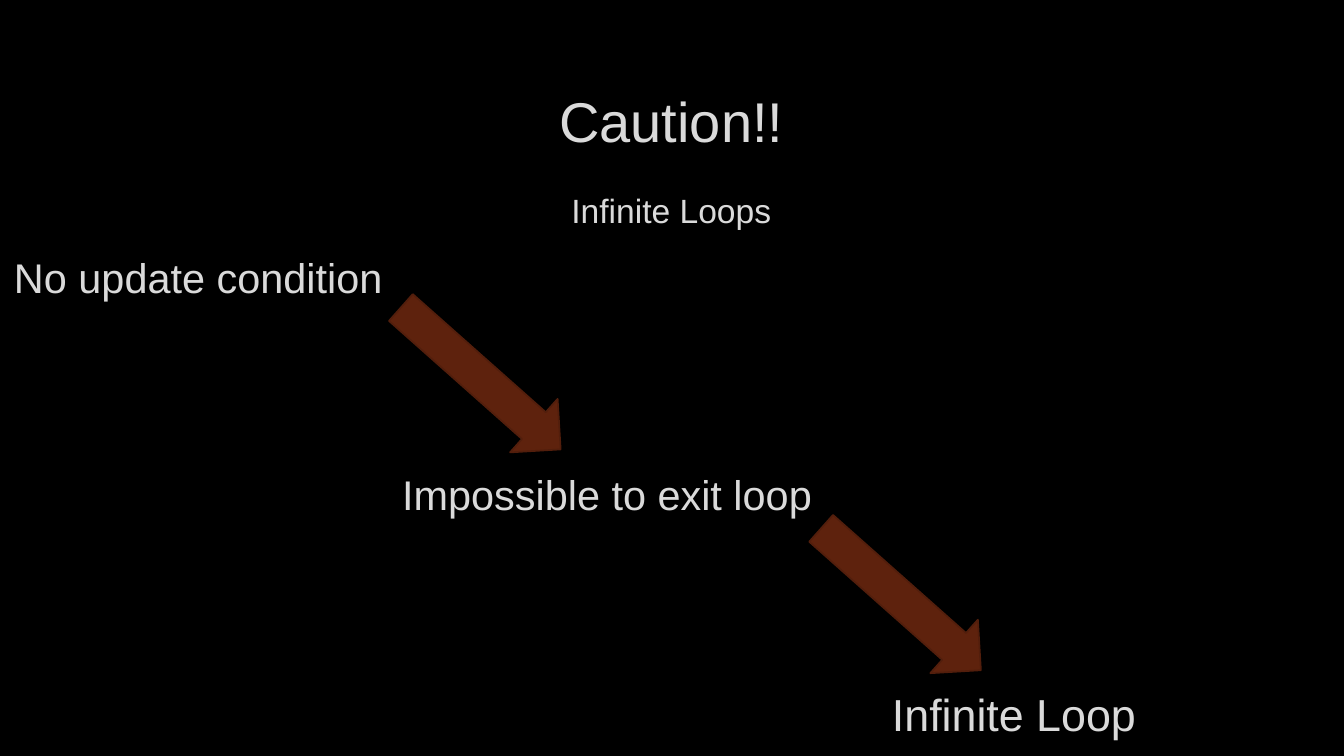
from pptx import Presentation
from pptx.dml.color import RGBColor
from pptx.enum.shapes import MSO_SHAPE as Shape
from pptx.enum.text import MSO_ANCHOR as Anchor, PP_ALIGN as Align
from pptx.util import Pt

COLORS = {
    "background": "000000",
    "text": "DADADA",
    "arrow": "5E220D",
    "arrow_line": "521E0C",
}


class SlideBuilder:
    font = "Arial"

    def __init__(self, deck):
        self.slide = deck.slides.add_slide(deck.slide_layouts[6])
        fill = self.slide.background.fill
        fill.solid()
        fill.fore_color.rgb = self.color("background")

    def color(self, name):
        return RGBColor.from_string(COLORS[name])

    def apply(self, target, values):
        for name, value in values.items():
            setattr(target, name, value)

    def text(self, words, place, size, frame_format=None, para_format=None):
        box = self.slide.shapes.add_textbox(*map(Pt, place))
        frame = box.text_frame
        self.apply(frame, {"word_wrap": True, **(frame_format or {})})
        para = frame.paragraphs[0]
        self.apply(para, para_format or {})
        span = para.add_run()
        span.text = words
        self.apply(span.font, {"name": self.font, "size": Pt(size)})
        span.font.color.rgb = self.color("text")

    def heading(self, words, place, size, anchor):
        self.text(words, place, size, {"vertical_anchor": anchor}, {"alignment": Align.CENTER})

    def step(self, words, place, size):
        spacing = {"space_before": Pt(3), "space_after": Pt(6)}
        self.text(words, place, size, {"margin_left": Pt(10)}, spacing)

    def arrow(self, place, rotation):
        arrow = self.slide.shapes.add_shape(Shape.RIGHT_ARROW, *map(Pt, place))
        arrow.rotation = rotation
        arrow.shadow.inherit = False
        arrow.fill.solid()
        arrow.fill.fore_color.rgb = self.color("arrow")
        arrow.line.color.rgb = self.color("arrow_line")
        arrow.line.width = Pt(1.25)


def main():
    deck = Presentation()
    deck.slide_width, deck.slide_height = Pt(960), Pt(540)
    builder = SlideBuilder(deck)

    builder.heading("Caution!!", (72, 48, 815, 76), 40, Anchor.MIDDLE)
    builder.heading("Infinite Loops", (335.5, 131.8, 288, 36), 24, Anchor.TOP)

    steps = [
        ("No update condition", (0, 176.4, 288, 52.6), 29.6),
        ("Impossible to exit loop", (277.2, 331.2, 324.7, 63.4), 29.6),
        ("Infinite Loop", (627.1, 486.7, 324.7, 63.4), 32),
    ]
    for words, place, size in steps:
        builder.step(words, place, size)

    for index in range(len(steps) - 1):
        builder.arrow((267.1 + 300.2 * index, 244.8 + 157.7 * index, 152.6, 51.1), 41.6)

    deck.save("out.pptx")


if __name__ == "__main__":
    main()
